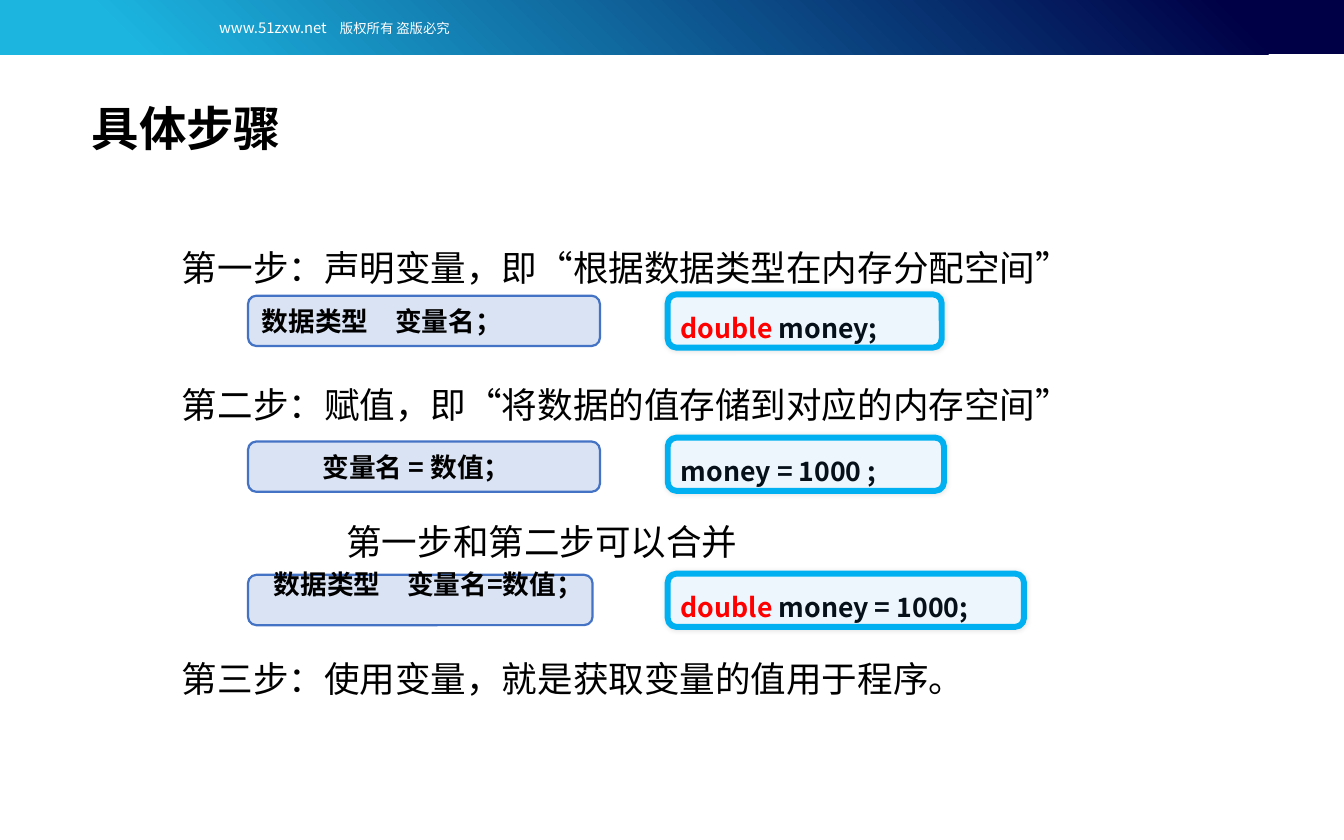
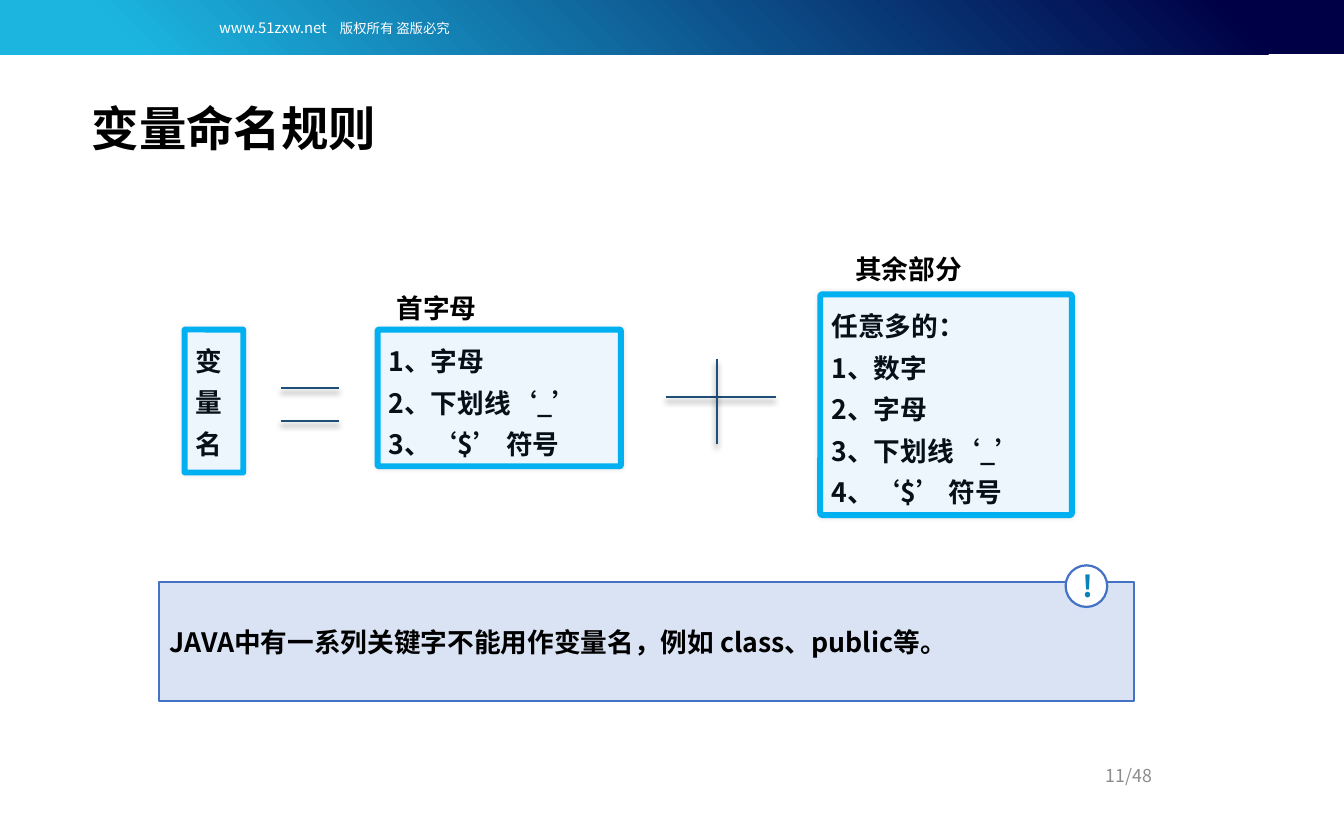
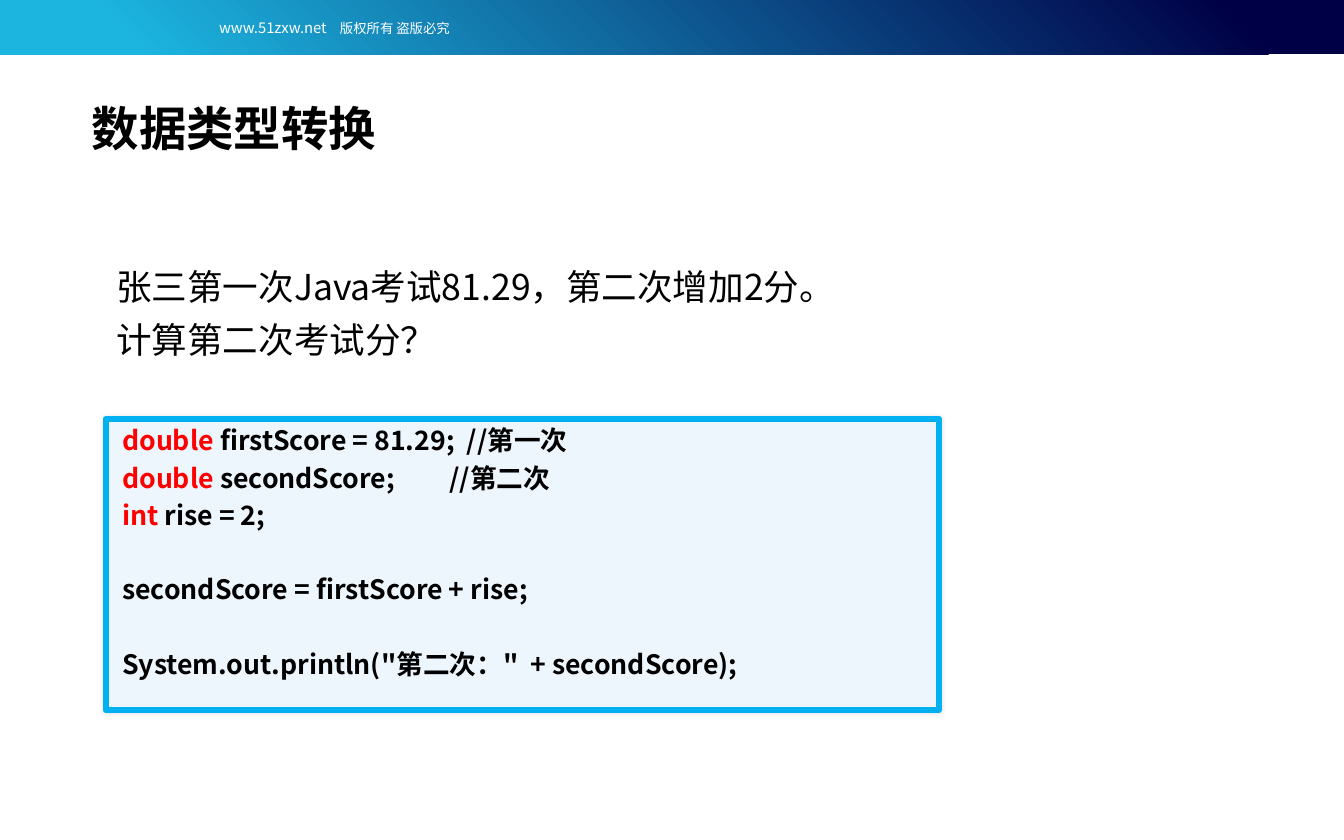
from dataclasses import dataclass

from lxml import etree
from pptx import Presentation
from pptx.dml.color import RGBColor
from pptx.enum.shapes import MSO_CONNECTOR, MSO_SHAPE
from pptx.enum.text import MSO_ANCHOR, MSO_AUTO_SIZE, PP_ALIGN
from pptx.oxml.ns import qn
from pptx.util import Pt

LEFT, CENTER, RIGHT = PP_ALIGN.LEFT, PP_ALIGN.CENTER, PP_ALIGN.RIGHT
TOP, MIDDLE = MSO_ANCHOR.TOP, MSO_ANCHOR.MIDDLE
RECT, ROUND, OVAL = MSO_SHAPE.RECTANGLE, MSO_SHAPE.ROUNDED_RECTANGLE, MSO_SHAPE.OVAL
STRAIGHT = MSO_CONNECTOR.STRAIGHT
NO_FIT = MSO_AUTO_SIZE.NONE


@dataclass(frozen=True)
class Theme:
    face: str = "Noto Sans CJK SC"
    black: str = "000000"
    white: str = "FFFFFF"
    ink: str = "061018"
    red: str = "FF0000"
    gray: str = "8C8C8C"
    teal: str = "0C83B8"
    navy: str = "000046"
    cyan: str = "1CB5E0"
    steel: str = "1F4E79"
    pale: str = "DAE3F3"
    blue: str = "4472C4"
    ice: str = "EDF5FD"
    sky: str = "00B0F0"
    title: float = 32
    body: float = 24
    mark: float = 20
    label: float = 18
    page: float = 12
    site: float = 10
    legal: float = 9


T = Theme()


@dataclass(frozen=True)
class Area:
    x: float
    y: float
    w: float
    h: float

    def emu(self) -> tuple:
        return Pt(self.x), Pt(self.y), Pt(self.w), Pt(self.h)


@dataclass(frozen=True)
class Style:
    size: float
    color: str
    bold: bool = False
    lead: float = 1.0
    align: int = LEFT


@dataclass(frozen=True)
class Run:
    text: str
    color: str = ""
    size: float = 0


@dataclass(frozen=True)
class Para:
    runs: tuple
    gap: float = 0
    indent: float = 0


@dataclass(frozen=True)
class Look:
    fill: str
    line: str
    width: float
    glow: bool = False


@dataclass(frozen=True)
class Step:
    note: Area
    rule: str
    inset: float
    lift: float
    code: Area
    snip: Para


NOTE = Look(T.pale, T.blue, 1.5)
CODE = Look(T.ice, T.sky, 4, True)
BADGE = Look(T.white, T.blue, 1.5)

TITLE = Style(T.title, T.black, True)
BODY = Style(T.body, T.black, lead=0.9)
LABEL = Style(T.label, T.black, True)
SNIP = Style(T.label, T.ink, True, 1.3)
MARK = Style(T.mark, T.teal, True, align=CENTER)
PAGE = Style(T.page, T.gray, align=RIGHT)
SITE = Style(T.site, T.white, lead=1.3, align=CENTER)


def rgb(code: str) -> RGBColor:
    return RGBColor.from_string(code)


def line(text: str, gap: float = 0, indent: float = 0) -> Para:
    return Para((Run(text),), gap, indent)


def typed(kind: str, rest: str, gap: float = 0) -> Para:
    return Para((Run(kind, T.red), Run(rest)), gap)


def write(frame, paras: list, style: Style, anchor=TOP) -> None:
    frame.word_wrap = True
    frame.auto_size = NO_FIT
    frame.vertical_anchor = anchor
    for n, item in enumerate(paras):
        para = frame.paragraphs[0] if n == 0 else frame.add_paragraph()
        props = para._p.get_or_add_pPr()
        props.set("marL", str(Pt(item.indent)))
        props.set("indent", "0")
        etree.SubElement(props, qn("a:buNone"))
        para.alignment = style.align
        para.line_spacing = style.lead
        para.space_before = Pt(item.gap)
        font = para.font
        font.size, font.bold, font.name = Pt(style.size), style.bold, T.face
        font.color.rgb = rgb(style.color)
        etree.SubElement(props.find(qn("a:defRPr")), qn("a:ea"), typeface=T.face)
        for part in item.runs:
            run = para.add_run()
            run.text = part.text
            if part.color:
                run.font.color.rgb = rgb(part.color)
            if part.size:
                run.font.size = Pt(part.size)


def shade(props, blur: float, dist: float, alpha: int) -> None:
    group = props.find(qn("a:effectLst"))
    if group is None:
        group = etree.SubElement(props, qn("a:effectLst"))
    cast = etree.SubElement(group, qn("a:outerShdw"), blurRad=str(Pt(blur)),
                            dist=str(Pt(dist)), dir="5400000", rotWithShape="0")
    tint = etree.SubElement(cast, qn("a:srgbClr"), val=T.black)
    etree.SubElement(tint, qn("a:alpha"), val=str(alpha * 1000))


def box(slide, area: Area, look: Look, paras: list, style: Style,
        anchor=TOP, form=ROUND, curve: float = 0):
    shape = slide.shapes.add_shape(form, *area.emu())
    if form == ROUND:
        shape.adjustments[0] = curve
    shape.shadow.inherit = False
    shape.fill.solid()
    shape.fill.fore_color.rgb = rgb(look.fill)
    shape.line.color.rgb = rgb(look.line)
    shape.line.width = Pt(look.width)
    if look.glow:
        shade(shape._element.spPr, 3, 0, 10)
    write(shape.text_frame, paras, style, anchor)
    return shape


def label(slide, area: Area, paras: list, style: Style, anchor=TOP) -> None:
    write(slide.shapes.add_textbox(*area.emu()).text_frame, paras, style, anchor)


def stroke(slide, x: float, y: float, w: float, h: float) -> None:
    link = slide.shapes.add_connector(STRAIGHT, Pt(x), Pt(y), Pt(x + w), Pt(y + h))
    link.line.color.rgb = rgb(T.steel)
    link.line.width = Pt(1.5)
    shade(link._element.spPr, 4, 3, 40)


def place(holder, area: Area, paras: list, style: Style) -> None:
    holder.left, holder.top, holder.width, holder.height = area.emu()
    write(holder.text_frame, paras, style)


def start(deck, layout: int, title: str):
    slide = deck.slides.add_slide(deck.slide_layouts[layout])
    band = slide.shapes.add_shape(RECT, *Area(428.4, -445.5, 50.4, 913.7).emu())
    band.rotation = 90
    band.shadow.inherit = False
    band.line.fill.background()
    band.fill.gradient()
    band.fill.gradient_angle = 315
    ends = ((0.1, T.navy), (0.9, T.cyan))
    for stop, (at, color) in zip(band.fill.gradient_stops, ends):
        stop.position = at
        stop.color.rgb = rgb(color)
    site = Para((Run("www.51zxw.net"), Run("　版权所有 盗版必究", size=T.legal)))
    label(slide, Area(40.3, 5.4, 370.8, 23), [site], SITE)
    area = Area(54.7, 63.4, len(title) * T.title + 15, 46)
    place(slide.shapes.title, area, [line(title)], TITLE)
    return slide


def steps(deck) -> None:
    slide = start(deck, 1, "具体步骤")
    gap = 66.5
    place(slide.placeholders[1], Area(115.6, 166, 662, 350), [
        line("第一步：声明变量，即“根据数据类型在内存分配空间”"),
        line("第二步：赋值，即“将数据的值存储到对应的内存空间”", gap),
        line("第一步和第二步可以合并", gap, 111),
        line("第三步：使用变量，就是获取变量的值用于程序。", gap),
    ], BODY)
    for step in (
        Step(Area(167.4, 199.6, 237.6, 34), "数据类型　变量名；", 0.5, 0,
             Area(450.7, 198.7, 185, 36), typed("double ", "money;")),
        Step(Area(167.4, 298, 237.6, 34), "变量名 = 数值；", 41.5, 0,
             Area(450.7, 295.4, 186.5, 36), line("money = 1000 ;")),
        Step(Area(167.4, 388, 232.6, 34), "数据类型　变量名=数值；", 8.5, 21.6,
             Area(450.7, 387.2, 240.5, 36), typed("double ", "money = 1000;")),
    ):
        frame = box(slide, step.note, NOTE, [line(step.rule)], LABEL, MIDDLE,
                    curve=0.167).text_frame
        frame.margin_left = Pt(7.2 + step.inset)
        frame.margin_right = Pt(0)
        frame.margin_bottom = Pt(3.6 + step.lift)
        box(slide, step.code, CODE, [step.snip], SNIP, curve=0.167)


def names(deck) -> None:
    slide = start(deck, 5, "变量命名规则")
    for area, rows in (
        (Area(124.6, 222.5, 39.6, 96.5), ("变", "量", "名")),
        (Area(254.9, 222.5, 164.2, 92.2), ("1、字母", "2、下划线‘_’", "3、‘$’ 符号")),
        (Area(553.7, 198.7, 169.9, 149),
         ("任意多的：", "1、数字", "2、字母", "3、下划线‘_’", "4、‘$’ 符号")),
    ):
        box(slide, area, CODE, [line(row) for row in rows], SNIP, curve=0.01)
    for x, y, text in ((260.6, 193.4, "首字母"), (570.2, 167.4, "其余部分")):
        label(slide, Area(x, y, 136, 28.8), [line(text)], LABEL)
    for x, y, w, h in ((189.4, 262.1, 39.6, 0), (189.4, 284.4, 39.6, 0),
                       (449.3, 267.8, 74.2, 0), (483.8, 242.6, 0, 56.9)):
        stroke(slide, x, y, w, h)
    box(slide, Area(107.3, 392.8, 658, 80.6), NOTE,
        [line("JAVA中有一系列关键字不能用作变量名，例如 class、public等。")],
        LABEL, MIDDLE)
    box(slide, Area(719.3, 381.6, 28.1, 28.1), BADGE, [line("!")], MARK, MIDDLE, OVAL)
    label(slide, Area(617, 509, 167.8, 28.8), [line("11/48")], PAGE, MIDDLE)


def casts(deck) -> None:
    slide = start(deck, 1, "数据类型转换")
    place(slide.placeholders[1], Area(71.3, 178.4, 701, 90), [
        line("张三第一次Java考试81.29，第二次增加2分。"),
        line("计算第二次考试分？", 10),
    ], BODY)
    near, far = 3.6, 28.7
    box(slide, Area(71.3, 282.7, 562.3, 196.6), CODE, [
        typed(" double ", "firstScore = 81.29;  //第一次"),
        typed(" double ", "secondScore;         //第二次", near),
        typed(" int ", "rise = 2;", near),
        line(" secondScore = firstScore + rise;", far),
        line(" System.out.println(\"第二次：\"  + secondScore);", far),
    ], LABEL)


def main() -> None:
    deck = Presentation()
    deck.slide_width, deck.slide_height = Pt(907.2), Pt(567)
    for draw in (steps, names, casts):
        draw(deck)
    deck.save("out.pptx")


if __name__ == "__main__":
    main()
